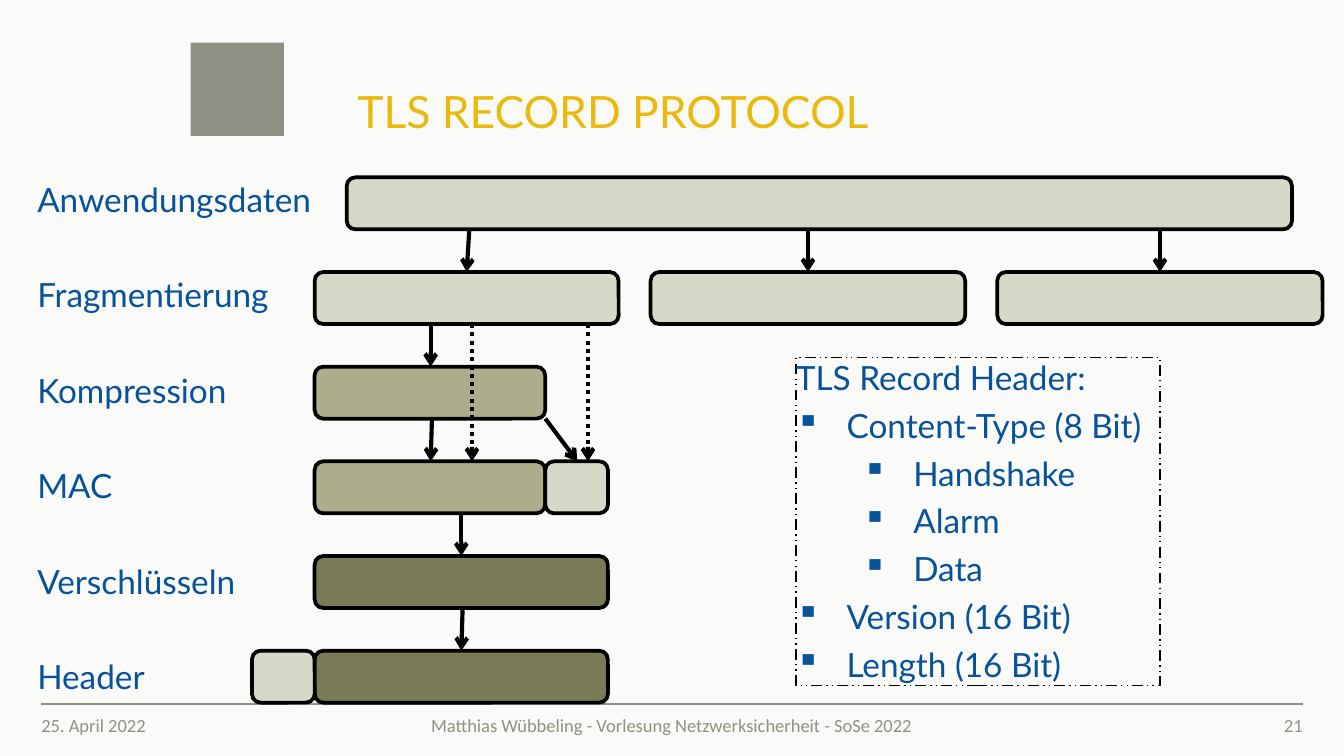
from collections import namedtuple

from lxml.etree import SubElement
from pptx import Presentation
from pptx.dml.color import RGBColor
from pptx.enum.dml import MSO_LINE_DASH_STYLE as Dash
from pptx.enum.shapes import MSO_CONNECTOR as Connector, MSO_SHAPE as Shape
from pptx.enum.text import MSO_ANCHOR as Anchor, MSO_AUTO_SIZE as AutoSize, PP_ALIGN as Align
from pptx.oxml.ns import qn
from pptx.util import Inches, Pt

BACKGROUND = RGBColor(0xFA, 0xFA, 0xF9)
BLUE = RGBColor(0x07, 0x52, 0x9A)
YELLOW = RGBColor(0xEA, 0xB9, 0x0C)
GRAY = RGBColor(0x90, 0x90, 0x85)
BLACK = RGBColor(0, 0, 0)
LIGHT = RGBColor(0xD8, 0xD8, 0xC8)
MEDIUM = RGBColor(0xAD, 0xAD, 0x8B)
DARK = RGBColor(0x7A, 0x7A, 0x56)

Box = namedtuple("Box", "left top width height")

ROW_PITCH = 0.71
BAR_HEIGHT = 0.39
LABELS = ["Anwendungsdaten", "Fragmentierung", "Kompression", "MAC", "Verschlüsseln", "Header"]
BARS = [
    [(0.71, 7.09, LIGHT)],
    [(0.47, 2.28, LIGHT), (2.99, 2.36, LIGHT), (5.59, 2.44, LIGHT)],
    [(0.47, 1.73, MEDIUM)],
    [(0.47, 1.73, MEDIUM), (2.2, 0.47, LIGHT)],
    [(0.47, 2.2, DARK)],
    [(0.47, 2.2, DARK), (0, 0.47, LIGHT)],
]
ARROWS = [
    (0, 1, 1.63, 1.61, None),
    (0, 1, 4.17, 4.17, None),
    (0, 1, 6.81, 6.81, None),
    (1, 2, 1.34, 1.34, None),
    (2, 3, 1.35, 1.34, None),
    (2, 3, 2.2, 2.44, None),
    (3, 4, 1.57, 1.57, None),
    (4, 5, 1.58, 1.57, None),
    (1, 3, 1.65, 1.65, Dash.ROUND_DOT),
    (1, 3, 2.52, 2.52, Dash.ROUND_DOT),
]
HEADER_FIELDS = [
    ("Content-Type (8 Bit)", 0),
    ("Handshake", 1),
    ("Alarm", 1),
    ("Data", 1),
    ("Version (16 Bit)", 0),
    ("Length (16 Bit)", 0),
]


def inches(box):
    return [Inches(length) for length in box]


def write(para, text, size=18, font="Lato", color=BLUE, align=Align.LEFT, after=0, level=None):
    if level is not None:
        para.level = level
        props = para._p.get_or_add_pPr()
        props.set("marL", str(Inches(0.38 + 0.5 * level)))
        props.set("indent", str(Inches(-0.38)))
        SubElement(props, qn("a:buChar")).set("char", "▪")
    para.alignment = align
    para.space_after = Pt(after)
    span = para.add_run()
    span.text = text
    span.font.size = Pt(size)
    span.font.name = font
    span.font.color.rgb = color


def prepare_frame(shape, anchor=Anchor.TOP):
    frame = shape.text_frame
    frame.margin_left = frame.margin_right = frame.margin_top = frame.margin_bottom = 0
    frame.word_wrap = True
    frame.auto_size = AutoSize.NONE
    frame.vertical_anchor = anchor
    return frame


def add_block(page, kind, box, fill=None, line=None, weight=2):
    block = page.shapes.add_shape(kind, *inches(box))
    block.shadow.inherit = False
    if fill is None:
        block.fill.background()
    else:
        block.fill.solid()
        block.fill.fore_color.rgb = fill
    if line is None:
        block.line.fill.background()
    else:
        block.line.color.rgb = line
        block.line.width = Pt(weight)
    return block


def add_line(page, start, end, color=BLACK, weight=2.25, dash=None, arrow=True):
    line = page.shapes.add_connector(Connector.STRAIGHT, *inches(start + end))
    line.line.color.rgb = color
    line.line.width = Pt(weight)
    if dash is not None:
        line.line.dash_style = dash
    props = line.element.spPr
    if arrow:
        SubElement(props.find(qn("a:ln")), qn("a:tailEnd")).set("type", "arrow")
    SubElement(props, qn("a:effectLst"))


def add_title(page, box, text):
    title = page.shapes.title
    title.left, title.top, title.width, title.height = inches(box)
    para = prepare_frame(title, Anchor.BOTTOM).paragraphs[0]
    para.line_spacing = Pt(26)
    write(para, text, size=24, color=YELLOW)


def add_footer(page, box):
    add_line(page, (box.left, box.top), (box.left + box.width, box.top), GRAY, 1, arrow=False)
    parts = [
        ("25. April 2022", Align.LEFT),
        ("Matthias Wübbeling - Vorlesung Netzwerksicherheit - SoSe 2022", Align.CENTER),
        ("21", Align.RIGHT),
    ]
    widths = [1.97, 5.51, 1.98]
    for index, (text, align) in enumerate(parts):
        left = box.left + sum(widths[:index])
        part = page.shapes.add_textbox(*inches((left, box.top, widths[index], box.height)))
        frame = prepare_frame(part, Anchor.MIDDLE)
        write(frame.paragraphs[0], text, size=10, font="Calibri", color=GRAY, align=align)


def add_labels(page, box):
    frame = prepare_frame(page.shapes.add_textbox(*inches(box)))
    for index, label in enumerate(LABELS):
        para = frame.add_paragraph() if index else frame.paragraphs[0]
        write(para, label, after=30)


def add_diagram(page, box):
    tops = [box.top + ROW_PITCH * row for row in range(len(BARS))]
    for top, bars in zip(tops, BARS):
        for offset, width, fill in bars:
            bar = Box(box.left + offset, top, width, BAR_HEIGHT)
            add_block(page, Shape.ROUNDED_RECTANGLE, bar, fill, BLACK)
    for source, target, start, end, dash in ARROWS:
        add_line(page, (box.left + start, tops[source] + BAR_HEIGHT),
                 (box.left + end, tops[target]), dash=dash)


def add_header_fields(page, box):
    panel = add_block(page, Shape.RECTANGLE, box, line=BLACK, weight=0.75)
    panel.line.dash_style = Dash.DASH_DOT_DOT
    frame = prepare_frame(panel)
    write(frame.paragraphs[0], "TLS Record Header:", after=4.2)
    for text, level in HEADER_FIELDS:
        write(frame.add_paragraph(), text, after=4.2, level=level)


def main():
    deck = Presentation()
    deck.slide_width, deck.slide_height = Inches(10.08), Inches(5.67)
    page = deck.slides.add_slide(deck.slide_layouts.get_by_name("Title Only"))
    page.background.fill.solid()
    page.background.fill.fore_color.rgb = BACKGROUND
    add_block(page, Shape.RECTANGLE, Box(1.43, 0.32, 0.7, 0.7), GRAY)
    add_title(page, Box(2.68, 0.32, 7.09, 0.71), "TLS RECORD PROTOCOL")
    add_footer(page, Box(0.31, 5.28, 9.46, 0.31))
    add_diagram(page, Box(1.89, 1.33, 8.03, 3.94))
    add_labels(page, Box(0.28, 1.34, 2.16, 3.89))
    add_header_fields(page, Box(5.97, 2.68, 2.73, 2.46))
    deck.save("out.pptx")


if __name__ == "__main__":
    main()
